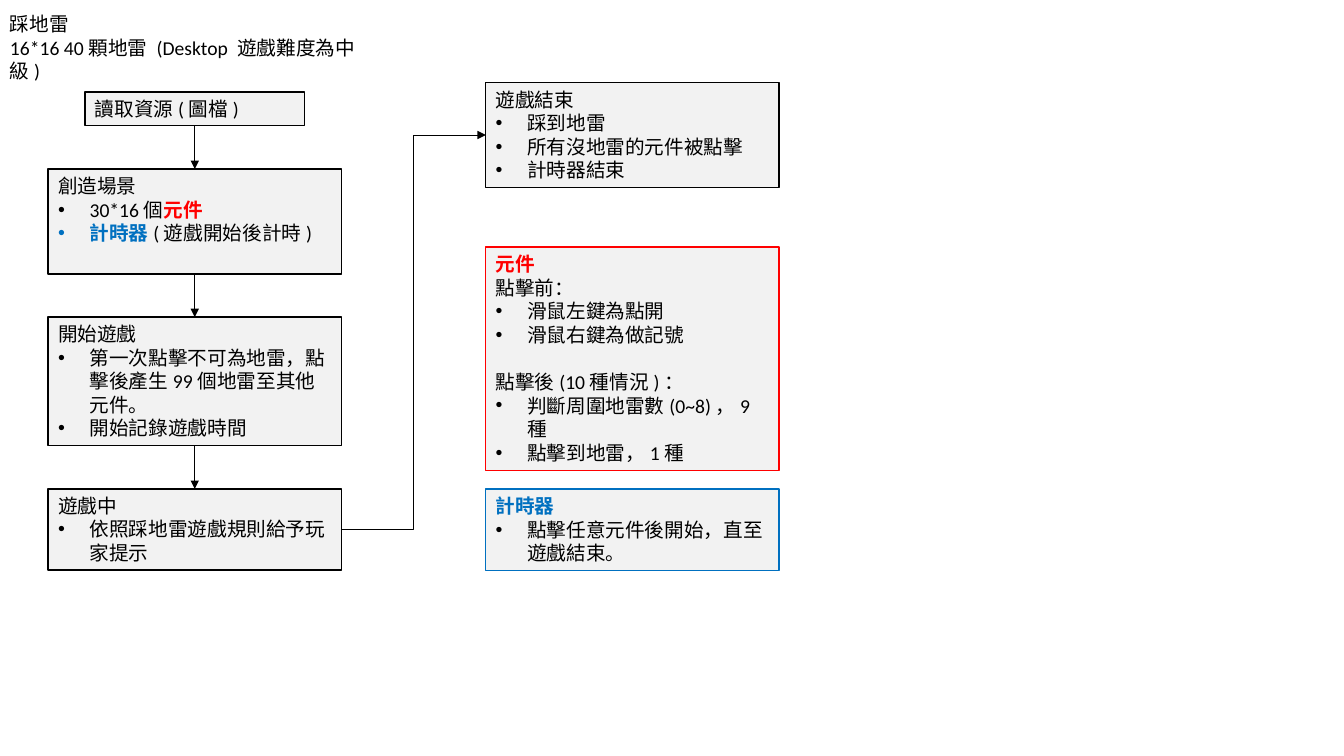
from lxml.etree import SubElement
from pptx import Presentation
from pptx.dml.color import RGBColor
from pptx.enum.shapes import MSO_CONNECTOR as Link, MSO_SHAPE as Preset
from pptx.enum.text import MSO_ANCHOR as Anchor, PP_ALIGN as Align
from pptx.oxml.ns import qn
from pptx.util import Pt

BLACK, RED, BLUE, GREY = "000000", "FF0000", "0070C0", "F2F2F2"
LINE_HEIGHT, PADDING, INDENT = 16.9, 7.4, 22.5
TOP, LEFT, BOTTOM, RIGHT = range(4)


def color(hex_code):
    """Turn a hex string into a colour."""
    return RGBColor.from_string(hex_code)


def plain(text):
    """Return an unbulleted black paragraph."""
    return False, [(text, BLACK)]


def item(*runs):
    """Return a bulleted paragraph of (text, colour) runs."""
    return True, runs


def write(frame, paragraphs, section_starts=()):
    """Fill a text frame, with a blank line's space before each section start."""
    frame.word_wrap = True
    frame.vertical_anchor = Anchor.TOP
    frame.margin_left = frame.margin_right = Pt(7.2)
    frame.margin_top = frame.margin_bottom = Pt(3.6)
    for index, (bulleted, runs) in enumerate(paragraphs):
        paragraph = frame.paragraphs[0] if index == 0 else frame.add_paragraph()
        paragraph.alignment = Align.LEFT
        if index in section_starts:
            paragraph.space_before = Pt(LINE_HEIGHT)
        for text, run_color in runs:
            run = paragraph.add_run()
            run.text = text
            run.font.name = "Calibri"
            run.font.size = Pt(14)
            run.font.bold = run_color != BLACK
            run.font.color.rgb = color(run_color)
        if bulleted:
            properties = paragraph._p.get_or_add_pPr()
            properties.set("marL", str(Pt(INDENT)))
            properties.set("indent", str(-Pt(INDENT)))
            SubElement(properties, qn("a:buFont"), typeface="Arial")
            SubElement(properties, qn("a:buChar"), char="•")


def add_card(slide, left, top, width, lines, paragraphs, border=BLACK, section_starts=()):
    """Draw a bordered card tall enough for its number of text lines."""
    height = PADDING + LINE_HEIGHT * lines
    card = slide.shapes.add_shape(Preset.RECTANGLE, Pt(left), Pt(top), Pt(width), Pt(height))
    card.shadow.inherit = False
    card.fill.solid()
    card.fill.fore_color.rgb = color(GREY)
    card.line.color.rgb = color(border)
    card.line.width = Pt(1)
    write(card.text_frame, paragraphs, section_starts)
    return card


def add_arrow(slide, link, source, source_side, target, target_side):
    """Connect two cards with a thin arrow."""
    arrow = slide.shapes.add_connector(link, source.left, source.top, target.left, target.top)
    arrow.begin_connect(source, source_side)
    arrow.end_connect(target, target_side)
    arrow.line.color.rgb = color(BLACK)
    arrow.line.width = Pt(0.5)
    SubElement(arrow.line._get_or_add_ln(), qn("a:tailEnd"), type="triangle")
    SubElement(arrow._element.spPr, qn("a:effectLst"))


def add_heading(slide, left, top, width):
    """Write the game's name and difficulty."""
    height = PADDING + LINE_HEIGHT * 3
    heading = slide.shapes.add_textbox(Pt(left), Pt(top), Pt(width), Pt(height))
    write(heading.text_frame, [plain("踩地雷"), plain("16*16 40顆地雷 (Desktop 遊戲難度為中級)")])


def add_flow(slide, left, top, width, gap):
    """Stack the game steps with arrows between them and return the last step."""
    load_width = 157
    steps = [
        (load_width, 1, [plain("讀取資源(圖檔)")]),
        (width, 4, [
            plain("創造場景"),
            item(("30*16個", BLACK), ("元件", RED)),
            item(("計時器", BLUE), ("(遊戲開始後計時)", BLACK)),
        ]),
        (width, 5, [
            plain("開始遊戲"),
            item(("第一次點擊不可為地雷，點擊後產生99個地雷至其他元件。", BLACK)),
            item(("開始記錄遊戲時間", BLACK)),
        ]),
        (width, 3, [plain("遊戲中"), item(("依照踩地雷遊戲規則給予玩家提示", BLACK))]),
    ]
    previous = None
    for step_width, lines, paragraphs in steps:
        step_left = left + (width - step_width) / 2
        step = add_card(slide, step_left, top, step_width, lines, paragraphs)
        if previous:
            add_arrow(slide, Link.STRAIGHT, previous, BOTTOM, step, TOP)
        previous = step
        top += PADDING + LINE_HEIGHT * lines + gap
    return previous


def add_rules(slide, left, top, width):
    """Draw the ending, cell and timer rules and return the ending card."""
    ending = add_card(slide, left, top, width, 4, [
        plain("遊戲結束"),
        item(("踩到地雷", BLACK)),
        item(("所有沒地雷的元件被點擊", BLACK)),
        item(("計時器結束", BLACK)),
    ])
    add_card(slide, left, top + 117.5, width, 9, [
        (False, [("元件", RED)]),
        plain("點擊前："),
        item(("滑鼠左鍵為點開", BLACK)),
        item(("滑鼠右鍵為做記號", BLACK)),
        plain("點擊後(10種情況)："),
        item(("判斷周圍地雷數(0~8)，9種", BLACK)),
        item(("點擊到地雷，1種", BLACK)),
    ], RED, section_starts=(4,))
    add_card(slide, left, top + 290.4, width, 3, [
        (False, [("計時器", BLUE)]),
        item(("點擊任意元件後開始，直至遊戲結束。", BLACK)),
    ], BLUE)
    return ending


def build():
    """Build and save the slide."""
    deck = Presentation()
    deck.slide_width, deck.slide_height = Pt(960), Pt(540)
    slide = deck.slides.add_slide(deck.slide_layouts[6])
    add_heading(slide, 0, 5, 278)
    playing = add_flow(slide, 34.4, 65.6, 209.5, 30.8)
    ending = add_rules(slide, 347, 59, 209.5)
    add_arrow(slide, Link.ELBOW, playing, RIGHT, ending, LEFT)
    deck.save("out.pptx")


build()
